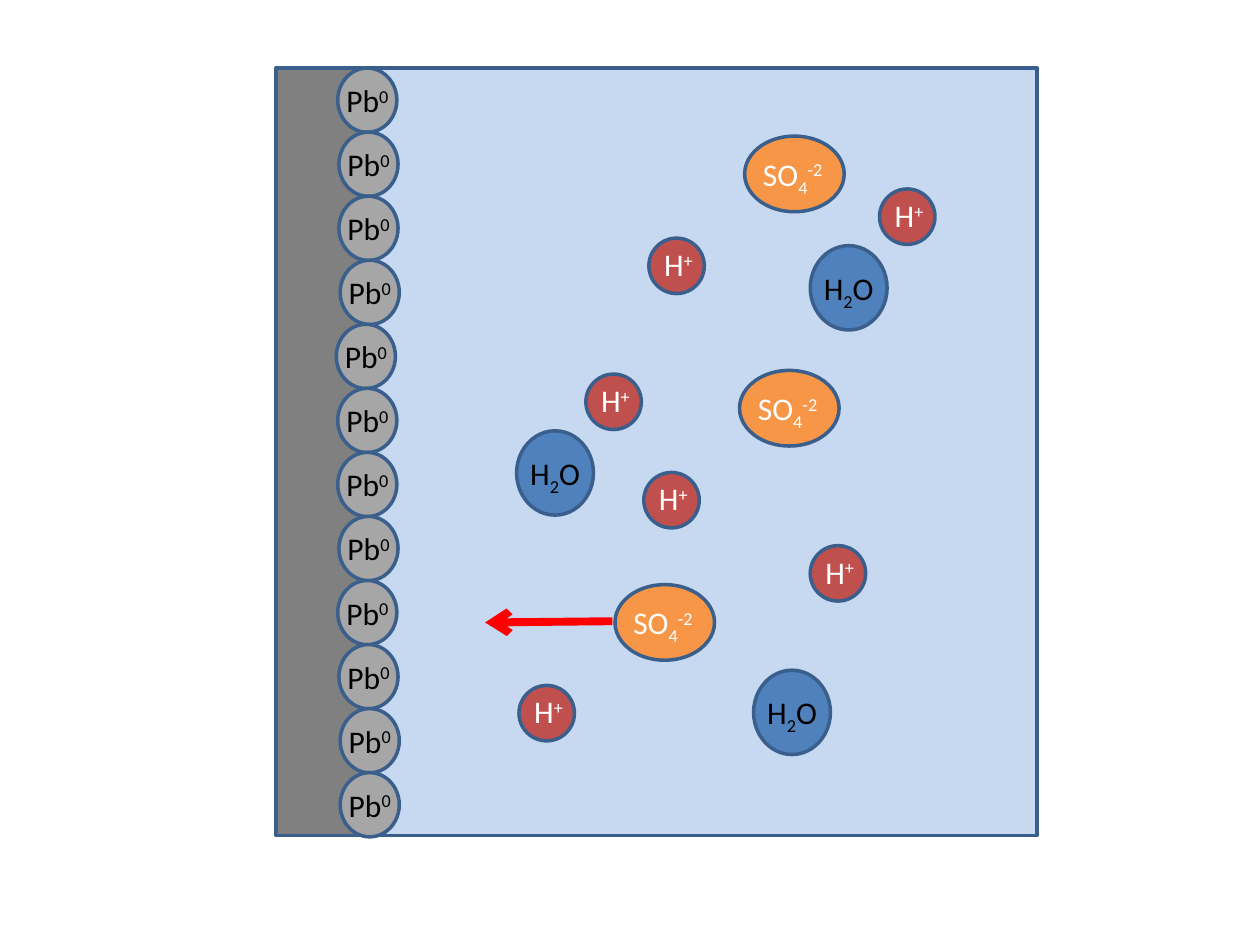
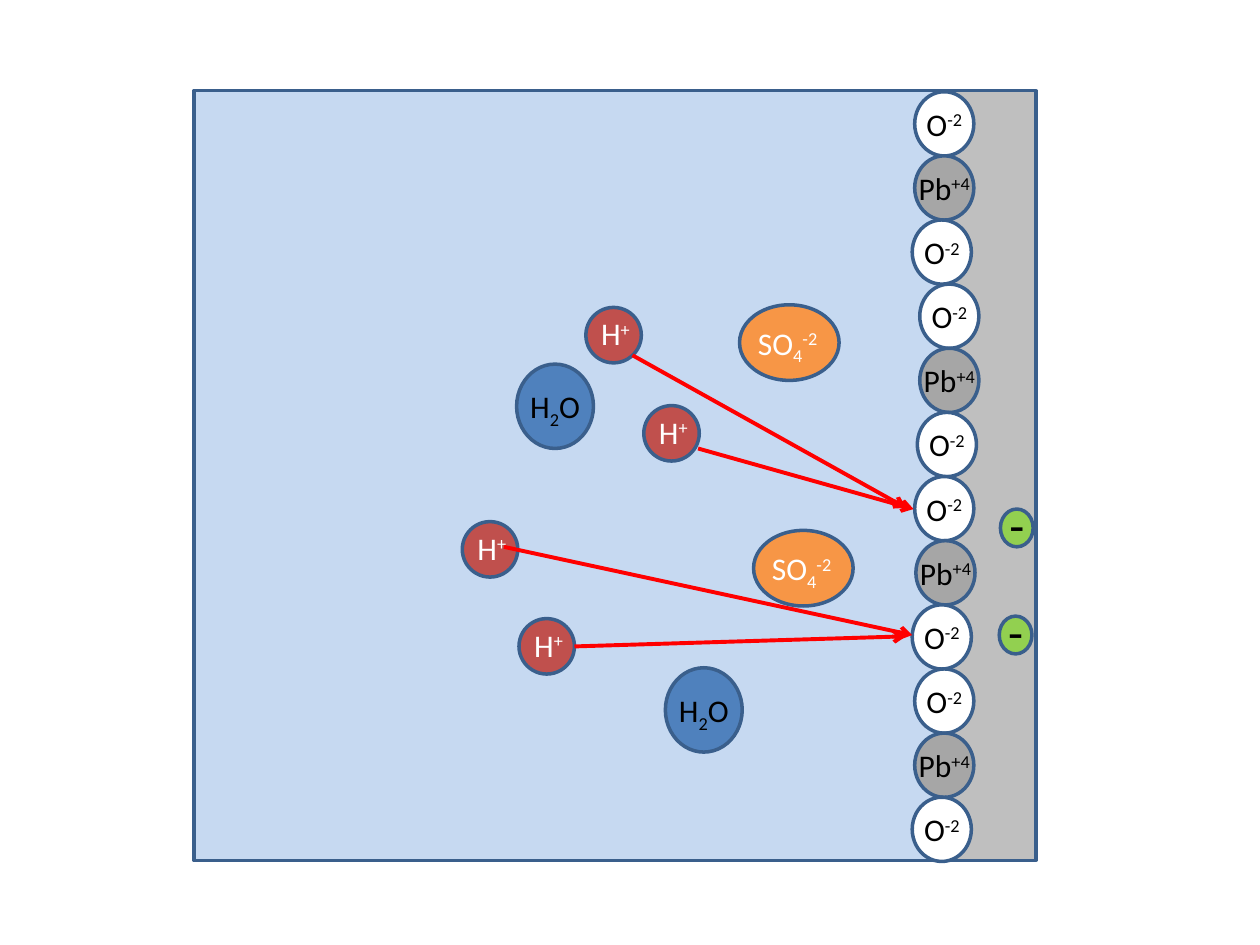
from dataclasses import dataclass
from itertools import cycle

from lxml import etree
from pptx import Presentation
from pptx.dml.color import RGBColor
from pptx.enum.shapes import MSO_CONNECTOR, MSO_SHAPE
from pptx.enum.text import MSO_AUTO_SIZE, PP_ALIGN
from pptx.oxml.ns import qn
from pptx.util import Pt

ELLIPSE = MSO_SHAPE.OVAL
RECTANGLE = MSO_SHAPE.RECTANGLE
STRAIGHT = MSO_CONNECTOR.STRAIGHT
CENTER = PP_ALIGN.CENTER
FIT_SHAPE = MSO_AUTO_SIZE.SHAPE_TO_FIT_TEXT

SUBSCRIPT, NORMAL, SUPERSCRIPT = -25000, 0, 30000


@dataclass(frozen=True)
class Theme:
    font: str = "Calibri"
    label_size: float = 18
    charge_size: float = 28
    outline_width: float = 2
    outline: str = "3A5F8C"
    solution: str = "C6D9F1"
    lead_plate: str = "808080"
    oxide_plate: str = "BFBFBF"
    lead: str = "A6A6A6"
    oxygen: str = "FFFFFF"
    water: str = "4F81BD"
    sulfate: str = "F79646"
    hydrogen: str = "C0504D"
    electron: str = "92D050"
    dark_text: str = "000000"
    light_text: str = "FFFFFF"
    arrow: str = "FF0000"


THEME = Theme()


@dataclass(frozen=True)
class Species:
    """A kind of particle; formula pairs each text with its baseline, shift moves the label off centre."""
    formula: tuple
    width: float
    height: float
    fill: str
    text_color: str
    label_width: float
    label_height: float = 28.8
    shift: tuple = (0, 0)
    size: float = THEME.label_size


def plate_atom(symbol, charge, fill, label_width):
    formula = ((symbol, NORMAL), (charge, SUPERSCRIPT))
    return Species(formula, 33.8, 36.7, fill, THEME.dark_text, label_width)


LEAD = plate_atom("Pb", "0", THEME.lead, 39.6)
LEAD_ION = plate_atom("Pb", "+4", THEME.lead, 45.4)
OXIDE = plate_atom("O", "-2", THEME.oxygen, 36.7)
WATER = Species((("H", NORMAL), ("2", SUBSCRIPT), ("O", NORMAL)),
                43.9, 48.2, THEME.water, THEME.dark_text, 43.9)
SULFATE = Species((("SO", NORMAL), ("4", SUBSCRIPT), ("-2", SUPERSCRIPT)),
                  56.9, 43.2, THEME.sulfate, THEME.light_text, 73.4, shift=(-1, 0))
HYDROGEN = Species((("H", NORMAL), ("+", SUPERSCRIPT)),
                   31.7, 31.7, THEME.hydrogen, THEME.light_text, 73.4, shift=(1, -1))
ELECTRON = Species((("-", NORMAL),), 18.7, 21.6, THEME.electron, THEME.dark_text,
                   23, 41, (0, -2), THEME.charge_size)


class Diagram:
    def __init__(self, deck, theme):
        self.deck = deck
        self.theme = theme
        self.page = None

    def new_page(self):
        self.page = self.deck.slides.add_slide(self.deck.slide_layouts[6])

    def shape(self, kind, left, top, width, height, fill):
        shape = self.page.shapes.add_shape(kind, Pt(left), Pt(top), Pt(width), Pt(height))
        shape.shadow.inherit = False
        shape.fill.solid()
        shape.fill.fore_color.rgb = RGBColor.from_string(fill)
        shape.line.color.rgb = RGBColor.from_string(self.theme.outline)
        shape.line.width = Pt(self.theme.outline_width)

    def label(self, species, left, top):
        box = self.page.shapes.add_textbox(Pt(left), Pt(top), Pt(species.label_width),
                                           Pt(species.label_height))
        box.text_frame.word_wrap = False
        box.text_frame.auto_size = FIT_SHAPE
        para = box.text_frame.paragraphs[0]
        para.alignment = CENTER
        para.font.name = self.theme.font
        para.font.size = Pt(species.size)
        para.font.color.rgb = RGBColor.from_string(species.text_color)
        for text, baseline in species.formula:
            span = para.add_run()
            span.text = text
            if baseline != NORMAL:
                span.font._element.set("baseline", str(baseline))

    def particle(self, species, left, top):
        self.shape(ELLIPSE, left, top, species.width, species.height, species.fill)
        shift_x, shift_y = species.shift
        self.label(species,
                   left + (species.width - species.label_width) / 2 + shift_x,
                   top + (species.height - species.label_height) / 2 + shift_y)

    def particles(self, placements):
        for species, corners in placements.items():
            for left, top in corners:
                self.particle(species, left, top)

    def atom_column(self, pattern, lefts, top, pitch):
        """Stack atoms down a plate face, repeating the pattern of species."""
        for row, (species, left) in enumerate(zip(cycle(pattern), lefts)):
            self.particle(species, left, top + row * pitch)

    def arrow(self, start, end, width):
        line = self.page.shapes.add_connector(STRAIGHT, *(Pt(value) for value in start + end))
        line.line.color.rgb = RGBColor.from_string(self.theme.arrow)
        line.line.width = Pt(width)
        etree.SubElement(line.line._get_or_add_ln(), qn("a:tailEnd"), type="arrow")
        etree.SubElement(line._element.spPr, qn("a:effectLst"))


def lead_plate_page(diagram):
    diagram.new_page()
    diagram.shape(RECTANGLE, 180, 38.9, 412.6, 438.5, THEME.solution)
    diagram.shape(RECTANGLE, 157.7, 38.9, 51.8, 438.5, THEME.lead_plate)
    diagram.particles({
        WATER: [(295.2, 246.2), (430.6, 383), (463, 140.4)],
        SULFATE: [(351.4, 334.1), (422.6, 211.7), (425.5, 77.8)],
        HYDROGEN: [(463, 311.8), (296.6, 391.7), (334.8, 213.8),
                   (367.9, 270), (502.6, 108), (370.8, 136.1)],
    })
    lefts = [193, 193.7, 193.7, 194.4, 192.2, 193, 193, 193.7, 193, 193.7, 194.4, 194.4]
    diagram.atom_column([LEAD], lefts, 38.9, 36.6)
    diagram.arrow((349.9, 355), (277.2, 355.7), 4.5)


def oxide_plate_page(diagram):
    diagram.new_page()
    diagram.shape(RECTANGLE, 110.9, 51.8, 481, 439.9, THEME.solution)
    diagram.shape(RECTANGLE, 540, 51.8, 51.8, 439.9, THEME.oxide_plate)
    diagram.particles({
        WATER: [(295.2, 208.1), (380.2, 381.6)],
        SULFATE: [(430.6, 303.1), (422.6, 174.2)],
        HYDROGEN: [(264.2, 298.1), (296.6, 353.5), (334.8, 175.7), (367.9, 231.8)],
        ELECTRON: [(571.7, 290.9), (571, 352.1)],
    })
    lefts = [522.7, 522.7, 521.3, 525.6, 525.6, 524.2, 522.7, 523.4, 521.3, 522.7, 522.7, 521.3]
    diagram.atom_column([OXIDE, LEAD_ION, OXIDE], lefts, 52.4, 36.65)
    for start, end in [((398.9, 256.3), (522, 290.9)), ((361.4, 203), (517.7, 290.2)),
                       ((288, 312.5), (521.3, 362.9)), ((328.3, 369.4), (517.7, 363.6))]:
        diagram.arrow(start, end, 2.25)


def main():
    deck = Presentation()
    deck.slide_width, deck.slide_height = Pt(720), Pt(540)
    diagram = Diagram(deck, THEME)
    lead_plate_page(diagram)
    oxide_plate_page(diagram)
    deck.save("out.pptx")


if __name__ == "__main__":
    main()
